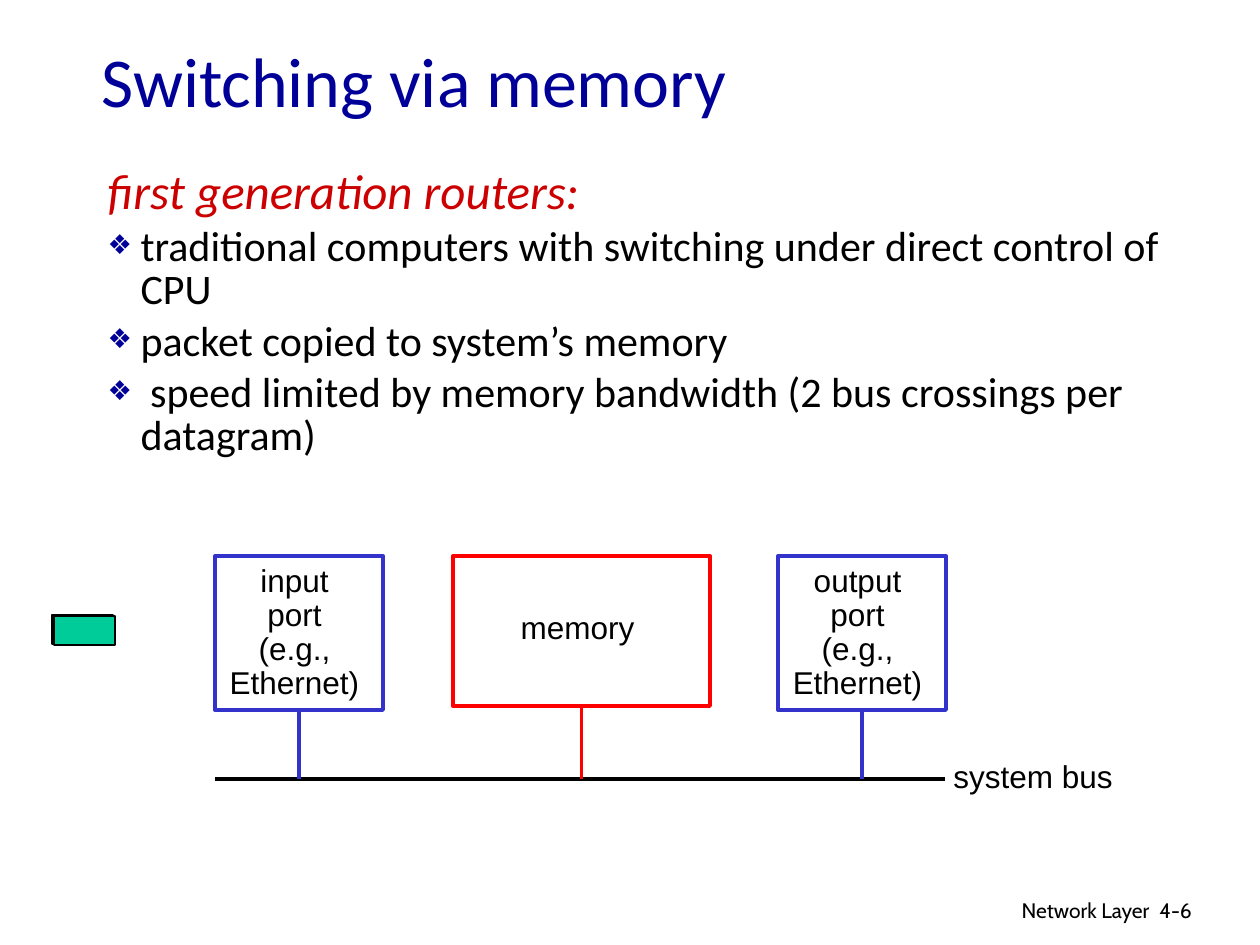
from dataclasses import dataclass

from lxml.etree import SubElement
from pptx import Presentation
from pptx.dml.color import RGBColor
from pptx.enum.shapes import MSO_CONNECTOR, MSO_SHAPE
from pptx.enum.text import MSO_ANCHOR, MSO_AUTO_SIZE, PP_ALIGN
from pptx.oxml.ns import qn
from pptx.util import Emu, Pt

PIXELS_PER_INCH = 126
BOTTOM = 2  # connection site of a rectangle


def px(length):
    return Emu(round(length * 914400 / PIXELS_PER_INCH))


@dataclass(frozen=True)
class Theme:
    navy: str = "000099"
    crimson: str = "CC0000"
    black: str = "000000"
    white: str = "FFFFFF"
    port: str = "3333CC"
    memory: str = "FF0000"
    packet: str = "00CC99"
    text_font: str = "Calibri"
    diagram_font: str = "Arial"
    footer_font: str = "Cabin"
    title_size: int = 40
    heading_size: int = 28
    body_size: int = 24
    label_size: int = 18
    footer_size: int = 12
    thick: float = 2.25
    thin: float = 0.75


class SlideBuilder:
    def __init__(self, slide, theme):
        self.slide = slide
        self.theme = theme

    def style(self, para, font, size, color, italic=False):
        for span in para.runs:
            span.font.name = font
            span.font.size = Pt(size)
            span.font.italic = italic
            span.font.color.rgb = RGBColor.from_string(color)

    def place(self, shape, left, top, width, height):
        shape.left, shape.top = px(left), px(top)
        shape.width, shape.height = px(width), px(height)

    def title(self, text, *bounds):
        box = self.slide.shapes.title
        self.place(box, *bounds)
        frame = box.text_frame
        frame.text = text
        frame.auto_size = MSO_AUTO_SIZE.NONE
        frame.vertical_anchor = MSO_ANCHOR.MIDDLE
        para = frame.paragraphs[0]
        para.alignment = PP_ALIGN.LEFT
        self.style(para, self.theme.text_font, self.theme.title_size, self.theme.navy)

    def bullet(self, para, indent, char=None):
        properties = para._p.get_or_add_pPr()
        properties.set("marL", str(px(indent)))
        properties.set("indent", str(-px(indent)))
        if char is None:
            SubElement(properties, qn("a:buNone"))
            return
        color = SubElement(properties, qn("a:buClr"))
        SubElement(color, qn("a:srgbClr"), val=self.theme.navy)
        SubElement(properties, qn("a:buSzPct"), val="65000")
        SubElement(properties, qn("a:buChar"), char=char)

    def body(self, heading, items, *bounds):
        theme = self.theme
        box = self.slide.placeholders[1]
        self.place(box, *bounds)
        frame = box.text_frame
        frame.text = "\n".join([heading, *items])
        frame.auto_size = MSO_AUTO_SIZE.NONE
        for number, para in enumerate(frame.paragraphs):
            para.line_spacing = 0.85
            if number == 0:
                para.space_before = Pt(0)
                self.bullet(para, 33)
                self.style(para, theme.text_font, theme.heading_size, theme.crimson, True)
            else:
                para.space_before = Pt(theme.body_size * 0.2)
                self.bullet(para, 33, "❖")
                self.style(para, theme.text_font, theme.body_size, theme.black)

    def text(self, text, *bounds, font, size, align=PP_ALIGN.LEFT, spacing=1.0, wrap=True):
        box = self.slide.shapes.add_textbox(*map(px, bounds))
        frame = box.text_frame
        frame.text = text
        frame.word_wrap = wrap
        if not wrap:
            frame.auto_size = MSO_AUTO_SIZE.SHAPE_TO_FIT_TEXT
        for para in frame.paragraphs:
            para.alignment = align
            para.line_spacing = spacing
            self.style(para, font, size, self.theme.black)

    def label(self, text, *bounds, align=PP_ALIGN.CENTER, spacing=0.9):
        self.text(text, *bounds, font=self.theme.diagram_font, size=self.theme.label_size,
                  align=align, spacing=spacing, wrap=False)

    def footer(self, text, *bounds, align=PP_ALIGN.LEFT):
        self.text(text, *bounds, font=self.theme.footer_font,
                  size=self.theme.footer_size, align=align)

    def rectangle(self, *bounds, fill, line, weight):
        shape = self.slide.shapes.add_shape(MSO_SHAPE.RECTANGLE, *map(px, bounds))
        shape.shadow.inherit = False
        shape.fill.solid()
        shape.fill.fore_color.rgb = RGBColor.from_string(fill)
        shape.line.color.rgb = RGBColor.from_string(line)
        shape.line.width = Pt(weight)
        return shape

    def line(self, start, end, color, joined=None):
        connector = self.slide.shapes.add_connector(
            MSO_CONNECTOR.STRAIGHT, *map(px, (*start, *end)))
        connector.line.color.rgb = RGBColor.from_string(color)
        connector.line.width = Pt(self.theme.thick)
        SubElement(connector._element.spPr, qn("a:effectLst"))
        if joined is not None:
            connector.begin_connect(joined, BOTTOM)

    def device(self, text, bounds, label_bounds, color, bus_y):
        """A labelled box with its drop line to the bus."""
        left, top, width, height = bounds
        box = self.rectangle(*bounds, fill=self.theme.white, line=color,
                             weight=self.theme.thick)
        self.label(text, *label_bounds)
        middle = left + width / 2
        self.line((middle, top + height), (middle, bus_y), color, joined=box)


def main():
    deck = Presentation()
    deck.slide_width, deck.slide_height = px(1260), px(945)
    theme = Theme()
    page = SlideBuilder(deck.slides.add_slide(deck.slide_layouts[1]), theme)

    # Title and list
    page.title("Switching via memory", 89, 37, 1071, 84)
    page.body("first generation routers:", [
        "traditional computers with switching under direct control of CPU",
        "packet copied to system’s memory",
        " speed limited by memory bandwidth (2 bus crossings per datagram)",
    ], 95, 163, 1081, 147)

    # System bus
    bus_y = 779
    page.line((215, bus_y), (945, bus_y), theme.black)
    page.label("system bus", 941, 751, 185, 50, align=PP_ALIGN.LEFT, spacing=1.0)

    # Ports and memory on the bus
    for name, left in (("input", 215), ("output", 778)):
        page.device(f"{name}\nport\n(e.g.,\nEthernet)", (left, 556, 168, 154),
                    (left + 2, 559, 155, 149), theme.port, bus_y)
    page.device("memory", (453, 556, 257, 150), (508, 606, 139, 47),
                theme.memory, bus_y)

    # Packet
    for left, top in ((52, 615), (54, 616)):
        page.rectangle(left, top, 61, 29, fill=theme.packet, line=theme.black,
                       weight=theme.thin)

    # Footer
    page.footer("Network Layer", 762, 891, 400, 39, align=PP_ALIGN.RIGHT)
    page.footer("4-6", 1147, 891, 93, 38)

    deck.save("out.pptx")


if __name__ == "__main__":
    main()
